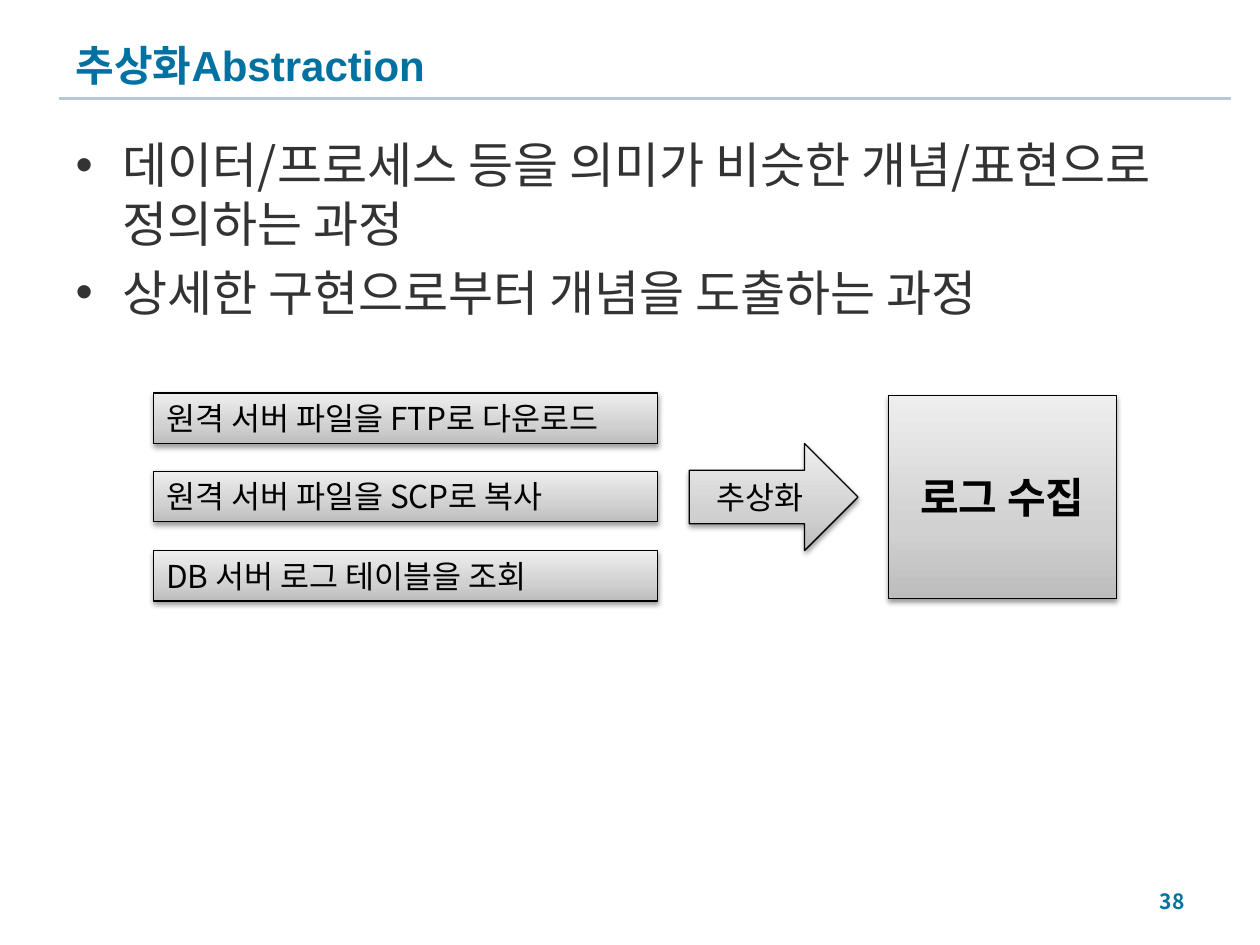
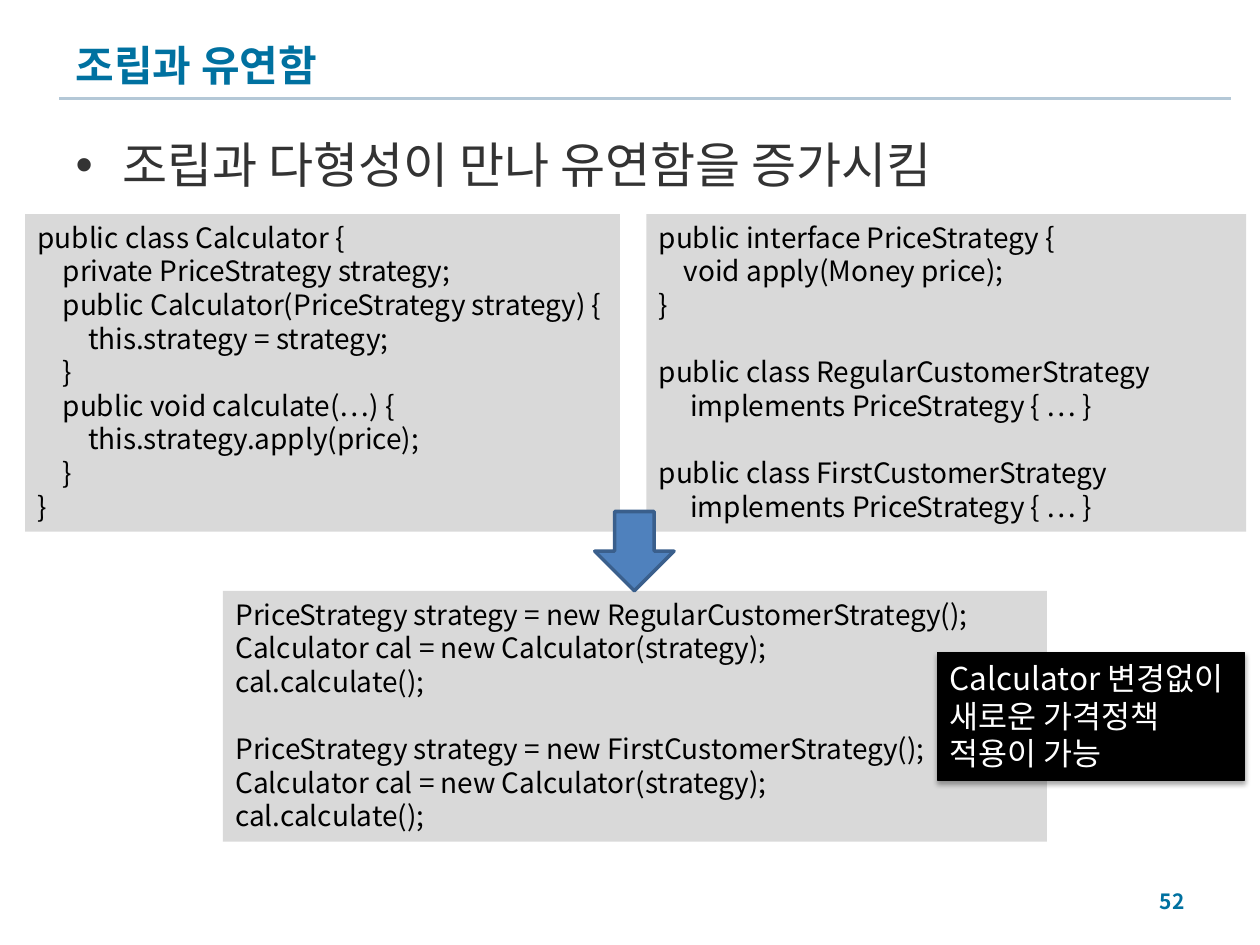
from lxml.etree import SubElement
from pptx import Presentation
from pptx.dml.color import RGBColor
from pptx.enum.shapes import MSO_CONNECTOR, MSO_SHAPE
from pptx.enum.text import MSO_ANCHOR, MSO_AUTO_SIZE, PP_ALIGN
from pptx.oxml.ns import qn
from pptx.util import Emu, Pt

# Shared look: 100 px to the inch
SCALE = 9144
FONT, TITLE_FONT = "Noto Sans CJK KR", "Arial"
ACCENT, RULE, INK = "0071A0", "B4C8D7", "333333"
BLACK, WHITE, CODE_FILL = "000000", "FFFFFF", "D9D9D9"
ARROW_FILL, ARROW_LINE = "4F81BD", "3A5F8C"
SILVER = [(0, "BDBDBD"), (35, "D1D1D1"), (100, "EEEEEE")]
LINE_HEIGHT = 1.2
SPACE_WIDTH = 5

# Content
ABSTRACTION = {
    "title": "추상화Abstraction",
    "number": "38",
    "bullets": ["데이터/프로세스 등을 의미가 비슷한 개념/표현으로 정의하는 과정",
                "상세한 구현으로부터 개념을 도출하는 과정"],
}
DETAILS = ["원격 서버 파일을 FTP로 다운로드", "원격 서버 파일을 SCP로 복사", "DB 서버 로그 테이블을 조회"]
STEP, CONCEPT = "추상화", "로그 수집"

FLEXIBILITY = {
    "title": "조립과 유연함",
    "number": "52",
    "bullets": ["조립과 다형성이 만나 유연함을 증가시킴"],
}
CODE_BLOCKS = [
    ((20, 170, 472, 252), """public class Calculator {
    private PriceStrategy strategy;
    public Calculator(PriceStrategy strategy) {
        this.strategy = strategy;
    }
    public void calculate(…) {
        this.strategy.apply(price);
    }
}"""),
    ((513, 170, 476, 252), """public interface PriceStrategy {
    void apply(Money price);
}

public class RegularCustomerStrategy
     implements PriceStrategy { … }

public class FirstCustomerStrategy
     implements PriceStrategy { … }"""),
    ((177, 469, 654, 199), """PriceStrategy strategy = new RegularCustomerStrategy();
Calculator cal = new Calculator(strategy);
cal.calculate();

PriceStrategy strategy = new FirstCustomerStrategy();
Calculator cal = new Calculator(strategy);
cal.calculate();"""),
]
CALLOUT = ["Calculator 변경없이", "새로운 가격정책", "적용이 가능"]


def px(length):
    return Emu(length * SCALE)


def color(hex_text):
    return RGBColor.from_string(hex_text)


def place(shape, left, top, width, height):
    shape.left, shape.top = px(left), px(top)
    shape.width, shape.height = px(width), px(height)


# Text
def style_para(para, size, hex_text, bold=False, font=FONT, align=PP_ALIGN.LEFT):
    para.alignment = align
    para.line_spacing = Pt(round(size * LINE_HEIGHT, 1))
    for span in para.runs:
        span.font.name, span.font.size, span.font.bold = font, Pt(size), bold
        span.font.color.rgb = color(hex_text)
        SubElement(span.font._element, qn("a:ea"), typeface=FONT)


def write_lines(frame, lines, size, hex_text, anchor=MSO_ANCHOR.TOP, **style):
    """Write paragraphs; leading spaces become indents, empty lines become spacing."""
    frame.word_wrap = True
    frame.auto_size = MSO_AUTO_SIZE.NONE
    frame.vertical_anchor = anchor
    started, gap = False, 0
    for line in lines:
        if not line:
            gap += size * LINE_HEIGHT
            continue
        para = frame.add_paragraph() if started else frame.paragraphs[0]
        started = True
        para.text = line.lstrip()
        style_para(para, size, hex_text, **style)
        indent = len(line) - len(line.lstrip())
        if indent:
            para._p.get_or_add_pPr().set("marL", str(px(indent * SPACE_WIDTH)))
        if gap:
            para.space_before = Pt(round(gap, 1))
            gap = 0


# Shapes
def add_box(page, bounds, fill, kind=MSO_SHAPE.RECTANGLE, line=None, line_width=0.75):
    box = page.shapes.add_shape(kind, *map(px, bounds))
    box.shadow.inherit = False
    if isinstance(fill, list):
        fill_gradient(box, fill)
    else:
        box.fill.solid()
        box.fill.fore_color.rgb = color(fill)
    if line:
        box.line.color.rgb = color(line)
        box.line.width = Pt(line_width)
    else:
        box.line.fill.background()
    box.text_frame.margin_right = 0 if kind == MSO_SHAPE.RECTANGLE else px(10)
    return box


def fill_gradient(box, stops):
    box.fill.gradient()
    box.fill.gradient_angle = 90
    stop_list = box._element.spPr.find(".//" + qn("a:gsLst"))
    for stop in list(stop_list):
        stop_list.remove(stop)
    for position, hex_text in stops:
        stop = SubElement(stop_list, qn("a:gs"), pos=str(position * 1000))
        SubElement(stop, qn("a:srgbClr"), val=hex_text)


def add_shadow(box, opacity, distance):
    effects = box._element.spPr.find(qn("a:effectLst"))
    shadow = SubElement(effects, qn("a:outerShdw"), blurRad=str(Pt(3.1)),
                        dist=str(Pt(distance)), dir="5400000", rotWithShape="0")
    shade = SubElement(shadow, qn("a:srgbClr"), val=BLACK)
    SubElement(shade, qn("a:alpha"), val=str(opacity * 1000))


def add_silver_box(page, bounds, text, size=18, kind=MSO_SHAPE.RECTANGLE, **style):
    box = add_box(page, bounds, SILVER, kind, line=BLACK)
    add_shadow(box, 38, 1.6)
    write_lines(box.text_frame, [text], size, BLACK, **style)
    return box


# Frame common to every page
def add_page(deck, content):
    page = deck.slides.add_slide(deck.slide_layouts[1])
    rule = page.shapes.add_connector(MSO_CONNECTOR.STRAIGHT, px(47), px(78), px(977), px(78))
    rule.line.color.rgb = color(RULE)
    rule.line.width = Pt(1.5)
    SubElement(rule._element.spPr, qn("a:effectLst"))

    title, body = page.placeholders
    place(title, 50, 23, 900, 56)
    write_lines(title.text_frame, [content["title"]], 24, ACCENT,
                anchor=MSO_ANCHOR.MIDDLE, bold=True, font=TITLE_FONT)
    place(body, 50, 102, 900, 568)
    write_lines(body.text_frame, content["bullets"], 28, INK)

    number = page.shapes.add_textbox(px(717), px(695), px(233), px(40))
    write_lines(number.text_frame, [content["number"]], 12, ACCENT,
                anchor=MSO_ANCHOR.MIDDLE, bold=True, align=PP_ALIGN.RIGHT)
    return page


def build_abstraction(deck):
    page = add_page(deck, ABSTRACTION)
    for index, detail in enumerate(DETAILS):
        add_silver_box(page, (122, 312 + index * 125 // 2, 400, 40), detail)
    centred = {"anchor": MSO_ANCHOR.MIDDLE, "align": PP_ALIGN.CENTER}
    concept = add_silver_box(page, (705, 314, 181, 161), CONCEPT, size=24, bold=True, **centred)
    concept.text_frame.margin_right = px(10)
    add_silver_box(page, (547, 352, 134, 85), STEP, kind=MSO_SHAPE.RIGHT_ARROW, **centred)


def build_flexibility(deck):
    page = add_page(deck, FLEXIBILITY)
    for bounds, code in CODE_BLOCKS:
        box = add_box(page, bounds, CODE_FILL)
        write_lines(box.text_frame, code.splitlines(), 16, BLACK)
    add_box(page, (472, 406, 63, 63), ARROW_FILL, MSO_SHAPE.DOWN_ARROW, ARROW_LINE, 2)
    callout = add_box(page, (744, 518, 244, 101), BLACK, line=BLACK)
    add_shadow(callout, 35, 1.8)
    write_lines(callout.text_frame, CALLOUT, 18, WHITE)


def main():
    deck = Presentation()
    deck.slide_width, deck.slide_height = px(1000), px(750)
    build_abstraction(deck)
    build_flexibility(deck)
    deck.save("out.pptx")


if __name__ == "__main__":
    main()
